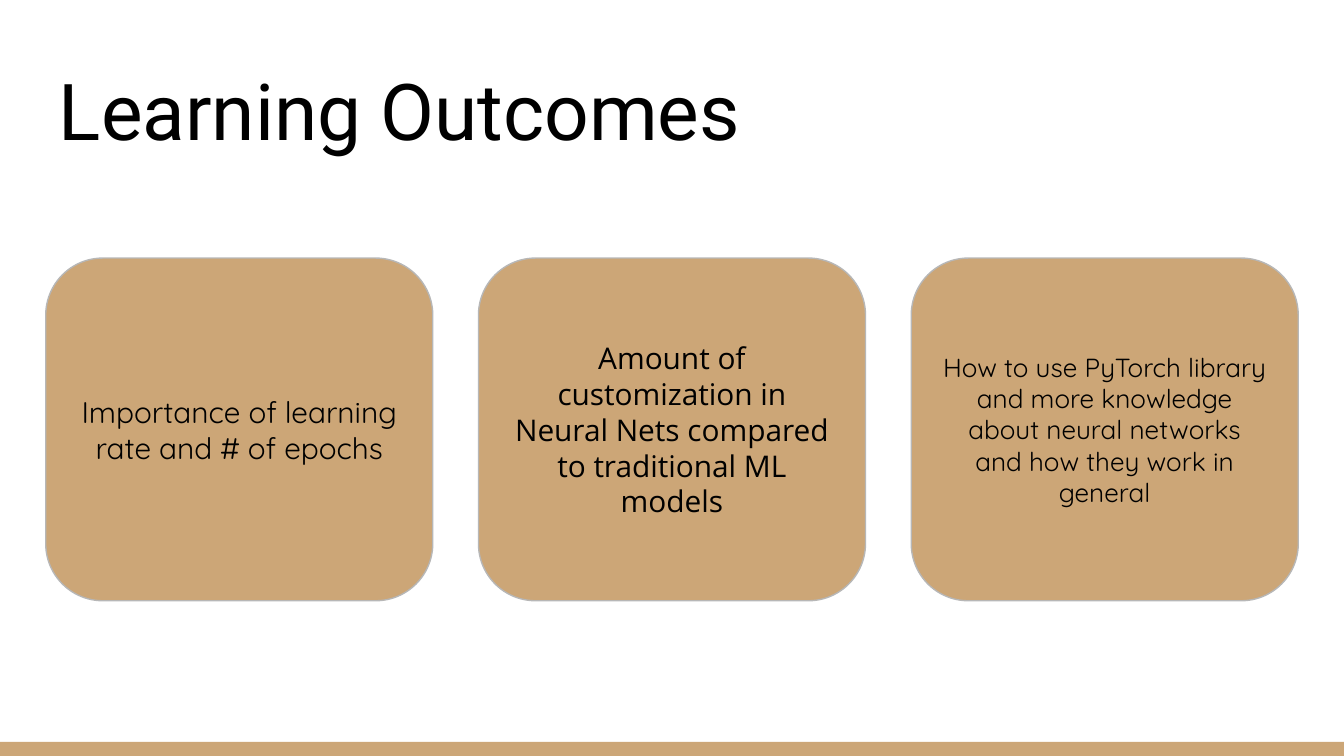
from pptx import Presentation
from pptx.dml.color import RGBColor
from pptx.enum.shapes import MSO_SHAPE
from pptx.enum.text import MSO_ANCHOR, PP_ALIGN
from pptx.util import Inches, Pt

COLORS = {"tan": "CCA677", "outline": "B7B7B7", "text": "000000"}
WIDTH = 10
HEIGHT = WIDTH * 9 / 16
MARGIN = 0.34
CONTENT_W = WIDTH - 2 * MARGIN

OUTCOMES = [
    ("Importance of learning rate and # of epochs", "Quicksand", 16),
    ("Amount of customization in Neural Nets compared to traditional ML models",
     "Open Sans", 16),
    ("How to use PyTorch library and more knowledge about neural networks "
     "and how they work in general", "Quicksand", 14),
]


def color(name):
    return RGBColor.from_string(COLORS[name])


def write(sp, text, font, size, anchor, side_inset):
    """Put one paragraph of text in a shape and return the paragraph."""
    tf = sp.text_frame
    tf.text = text
    tf.word_wrap = True
    tf.vertical_anchor = anchor
    tf.margin_left = tf.margin_right = Pt(side_inset)
    tf.margin_top = tf.margin_bottom = Inches(0.1)
    p = tf.paragraphs[0]
    r = p.runs[0]
    r.font.name = font
    r.font.size = Pt(size)
    r.font.color.rgb = color("text")
    return p


def add_block(s, kind, box):
    sp = s.shapes.add_shape(kind, *map(Inches, box))
    sp.shadow.inherit = False
    sp.fill.solid()
    sp.fill.fore_color.rgb = color("tan")
    return sp


def add_footer_bar(s, box):
    add_block(s, MSO_SHAPE.RECTANGLE, box).line.fill.background()


def add_title(s, box, text):
    sp = s.shapes.add_textbox(*map(Inches, box))
    write(sp, text, "Roboto", 42, MSO_ANCHOR.BOTTOM, 7.2)


def add_cards(s, box, items, gap):
    """Spread equal cards across the box."""
    left, top, width, height = box
    card_w = (width - gap * (len(items) - 1)) / len(items)
    for i, (text, font, size) in enumerate(items):
        sp = add_block(s, MSO_SHAPE.FLOWCHART_ALTERNATE_PROCESS,
                       (left + i * (card_w + gap), top, card_w, height))
        sp.line.color.rgb = color("outline")
        sp.line.width = Pt(0.75)
        p = write(sp, text, font, size, MSO_ANCHOR.MIDDLE, 7.6)
        p.alignment = PP_ALIGN.CENTER
        p.line_spacing = Pt(1.2 * size)


def main():
    prs = Presentation()
    prs.slide_width, prs.slide_height = Inches(WIDTH), Inches(HEIGHT)
    s = prs.slides.add_slide(prs.slide_layouts[6])

    # Bar along the bottom edge
    add_footer_bar(s, (0, 5.52, WIDTH, HEIGHT - 5.52))
    # Heading
    add_title(s, (MARGIN, 0.35, CONTENT_W, 0.91), "Learning Outcomes")
    # Row of outcome cards, gaps as wide as the margins
    add_cards(s, (MARGIN, 1.92, CONTENT_W, 2.55), OUTCOMES, MARGIN)

    prs.save("out.pptx")


if __name__ == "__main__":
    main()
